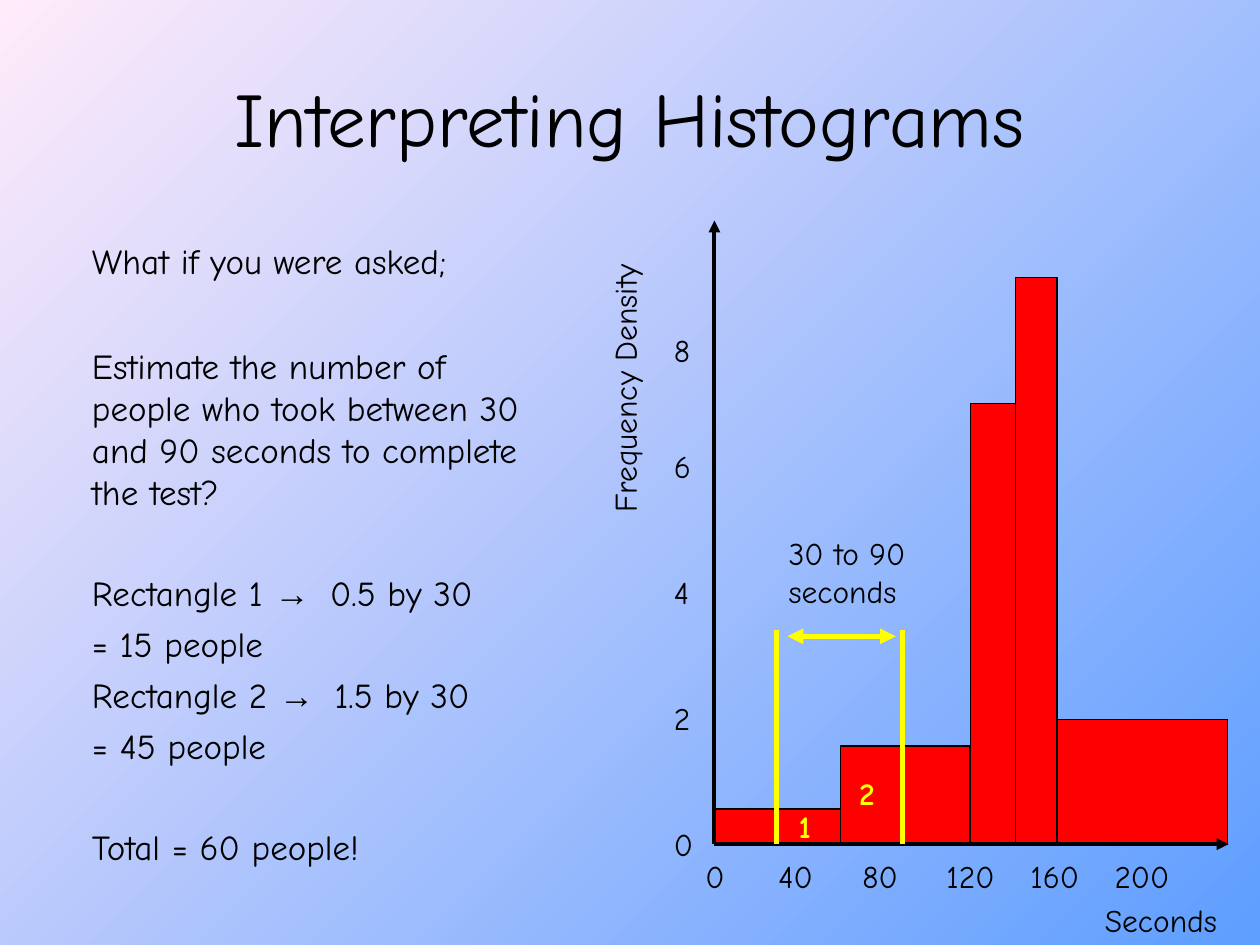
from lxml import etree
from pptx import Presentation
from pptx import util as u
from pptx.dml.color import RGBColor
from pptx.enum import shapes, text
from pptx.oxml import ns

BLACK = RGBColor(0x00, 0x00, 0x00)
RED = RGBColor(0xFF, 0x00, 0x00)
YELLOW = RGBColor(0xFF, 0xFF, 0x00)
PINK = RGBColor(0xFF, 0xEB, 0xFA)
BLUE = RGBColor(0x5E, 0x9E, 0xFF)
FACE = "Comic Neue"

TITLE = "Interpreting Histograms"
BODY = [
    (0, "What if you were asked;"),
    (36, "Estimate the number of people who took between 30 and 90 seconds to complete the test?"),
    (34, "Rectangle 1 → 0.5 by 30"),
    (5, "= 15 people"),
    (5, "Rectangle 2 → 1.5 by 30"),
    (5, "= 45 people"),
    (34, "Total = 60 people!"),
]

LEFT, BASE = 5.67, 6.7
EDGES = [LEFT, 6.67, 7.7, 8.06, 8.39, 9.74]
HEIGHTS = [0.28, 0.78, 3.5, 4.5, 0.99]
TIMES = ["40", "80", "120", "160", "200"]
LEVELS = [("0", 6.5), ("2", 5.5), ("4", 4.5), ("6", 3.5), ("8", 2.58)]
NOTES = [
    ("Seconds", (8.67, 7.1, 1.33, 0.4), 0, {}),
    ("Frequency Density", (3.62, 2.63, 2.67, 0.4), 270, {}),
    ("30 to 90 seconds", (6.16, 4.19, 1.22, 0.7), 0, {}),
    ("1", (6.24, 6.36, 0.3, 0.4), 0, {"color": YELLOW, "bold": True}),
    ("2", (6.72, 6.09, 0.3, 0.4), 0, {"color": YELLOW, "bold": True}),
]
LINES = [
    ((LEFT, BASE, 9.75, BASE), BLACK, 2.25, ["tailEnd"]),
    ((LEFT, 1.75, LEFT, BASE), BLACK, 2.25, ["headEnd"]),
    ((6.16, BASE, 6.16, 5), YELLOW, 3, []),
    ((7.16, BASE, 7.16, 5), YELLOW, 3, []),
    ((6.25, 5.05, 7.11, 5.05), YELLOW, 3, ["headEnd", "tailEnd"]),
]


def inches(box):
    return [u.Inches(n) for n in box]


def style(font, size, color=BLACK, **more):
    form = {"name": FACE, "size": u.Pt(size), **more}
    for key, val in form.items():
        setattr(font, key, val)
    font.color.rgb = color


def place(shape, box):
    for key, val in zip(("left", "top", "width", "height"), inches(box)):
        setattr(shape, key, val)


def label(slide, words, box, turn=0, form=None):
    shape = slide.shapes.add_textbox(*inches(box))
    shape.rotation = turn
    frame = shape.text_frame
    frame.word_wrap = True
    run = frame.paragraphs[0].add_run()
    run.text = words
    style(run.font, 18, **(form or {}))


def bar(slide, left, right, height):
    box = inches((left, BASE - height, right - left, height))
    shape = slide.shapes.add_shape(shapes.MSO_SHAPE.RECTANGLE, *box)
    shape.shadow.inherit = False
    shape.fill.solid()
    shape.fill.fore_color.rgb = RED
    shape.line.color.rgb = BLACK
    shape.line.width = u.Pt(0.75)


def rule(slide, ends, color, width, heads):
    link = slide.shapes.add_connector(shapes.MSO_CONNECTOR.STRAIGHT, *inches(ends))
    link.line.color.rgb = color
    link.line.width = u.Pt(width)
    props = link._element.spPr
    for head in heads:
        etree.SubElement(props.find(ns.qn("a:ln")), ns.qn("a:" + head), type="triangle")
    etree.SubElement(props, ns.qn("a:effectLst"))


def fill_title(shape):
    place(shape, (0.5, 0.3, 9, 1.25))
    frame = shape.text_frame
    frame.text = TITLE
    frame.vertical_anchor = text.MSO_ANCHOR.MIDDLE
    para = frame.paragraphs[0]
    para.alignment = text.PP_ALIGN.CENTER
    style(para.runs[0].font, 44)


def fill_body(shape):
    place(shape, (0.25, 1.85, 4.24, 5.15))
    frame = shape.text_frame
    frame.auto_size = text.MSO_AUTO_SIZE.NONE
    frame.text = "\n".join(words for gap, words in BODY)
    for para, (gap, words) in zip(frame.paragraphs, BODY):
        props = para._p.get_or_add_pPr()
        props.set("marL", str(u.Inches(0.38)))
        props.set("indent", "0")
        etree.SubElement(props, ns.qn("a:buNone"))
        para.space_before = u.Pt(gap)
        para.clear()
        for part in words.replace("→", "|→|").split("|"):
            run = para.add_run()
            run.text = part
            style(run.font, 20)
            if part == "→":
                run.font.name = "Arial"
                run._r.get_or_add_rPr().set("spc", "500")


def main():
    deck = Presentation()
    deck.slide_width, deck.slide_height = inches((10, 7.5))
    slide = deck.slides.add_slide(deck.slide_layouts[1])

    back = slide.background.fill
    back.gradient()
    back.gradient_angle = 315
    for stop, color in zip(back.gradient_stops, (PINK, BLUE)):
        stop.color.rgb = color

    fill_title(slide.shapes.title)
    fill_body(slide.placeholders[1])

    for left, right, height in zip(EDGES, EDGES[1:], HEIGHTS):
        bar(slide, left, right, height)
    for line in LINES:
        rule(slide, *line)

    label(slide, "0", (5.5, 6.75, 0.42, 0.4))
    for num, words in enumerate(TIMES):
        wide = 0.25 + len(words) / 6
        label(slide, words, (6.08 + num * 2 / 3, 6.75, wide, 0.4))
    for words, top in LEVELS:
        label(slide, words, (5.25, top, 0.42, 0.4))
    for note in NOTES:
        label(slide, *note)

    deck.save("out.pptx")


if __name__ == "__main__":
    main()
